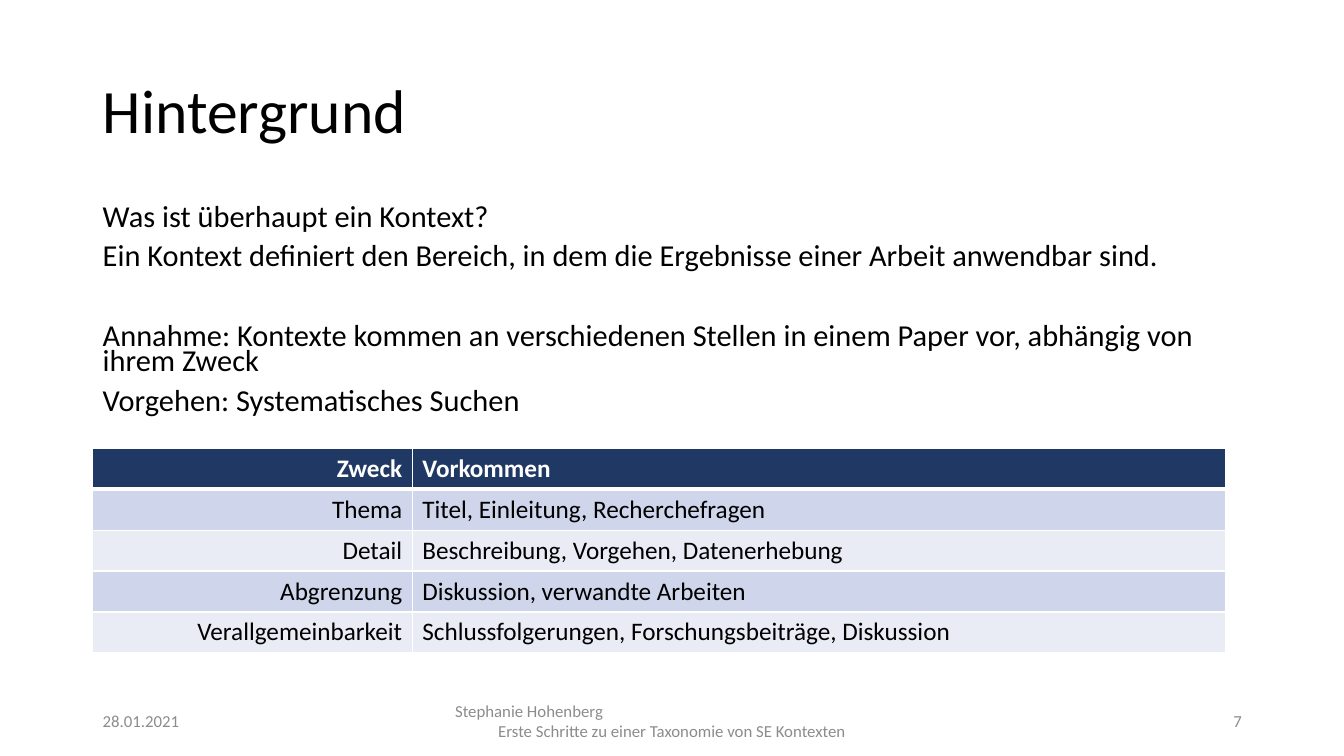
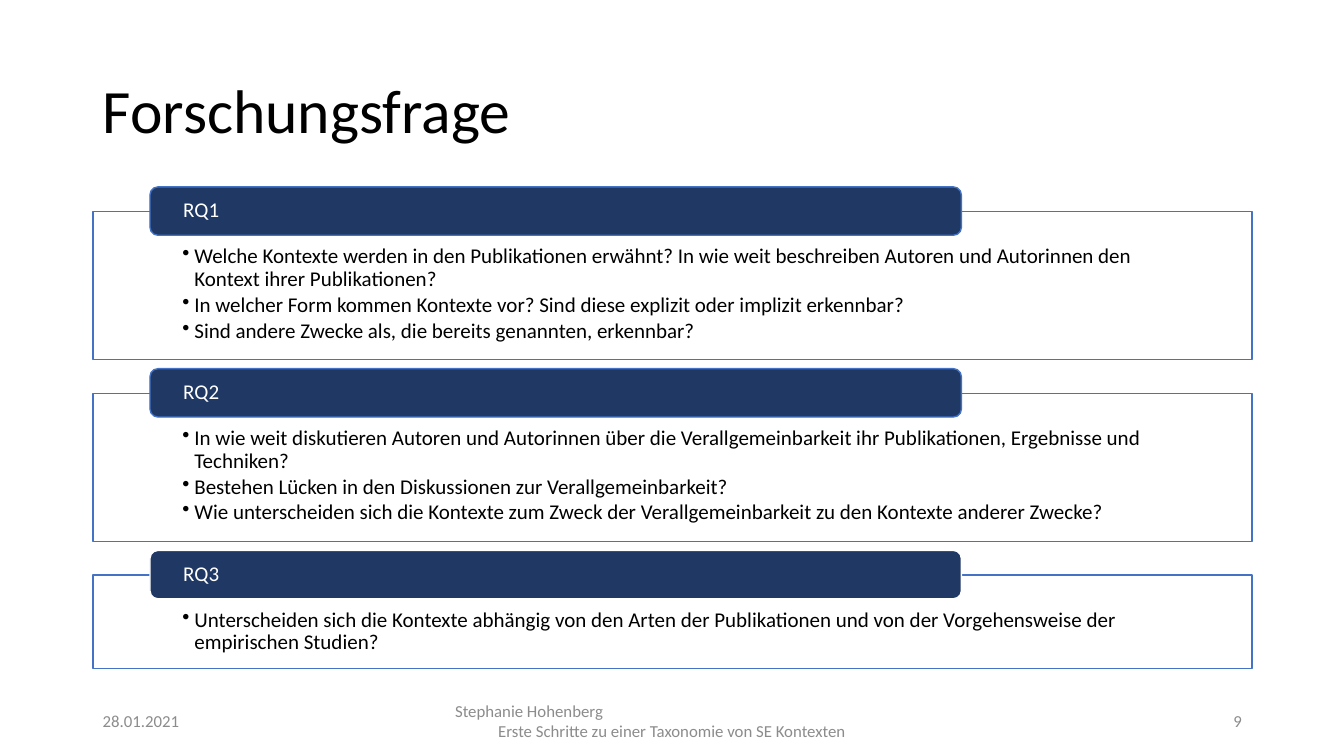
"""Build two slides on contexts in software engineering papers."""
import lxml.etree
import pptx
import pptx.dml.color
import pptx.enum.shapes
import pptx.enum.text
import pptx.oxml.ns
import pptx.util

Cm = pptx.util.Cm
Pt = pptx.util.Pt
qn = pptx.oxml.ns.qn
ALIGN = pptx.enum.text.PP_ALIGN
ANCHOR = pptx.enum.text.MSO_ANCHOR
SHAPE = pptx.enum.shapes.MSO_SHAPE

FONT = "Calibri"
BLACK, WHITE, GREY = "000000", "FFFFFF", "8C8C8C"
NAVY, BLUE = "203864", "4472C4"
BANDS = ["CFD5EA", "E9EBF5"]
PAGE_WIDTH, PAGE_HEIGHT = 33.87, 19.05
LEFT, WIDTH = 2.34, 29.21
INSETS = (0.25, 0.13, 0.25, 0.13)

DATE = "28.01.2021"
AUTHOR = "Stephanie Hohenberg"
TALK = "Erste Schritte zu einer Taxonomie von SE Kontexten"

BACKGROUND = [
    "Was ist überhaupt ein Kontext?",
    "Ein Kontext definiert den Bereich, in dem die Ergebnisse einer Arbeit anwendbar sind.",
    "Annahme: Kontexte kommen an verschiedenen Stellen in einem Paper vor, abhängig von ihrem Zweck",
    "Vorgehen: Systematisches Suchen",
]
ASSUMPTION = 2
PURPOSES = [
    ("Zweck", "Vorkommen"),
    ("Thema", "Titel, Einleitung, Recherchefragen"),
    ("Detail", "Beschreibung, Vorgehen, Datenerhebung"),
    ("Abgrenzung", "Diskussion, verwandte Arbeiten"),
    ("Verallgemeinbarkeit", "Schlussfolgerungen, Forschungsbeiträge, Diskussion"),
]
COLUMNS = [(8.05, ALIGN.RIGHT), (20.5, ALIGN.LEFT)]
ROW_HEIGHT = 1.03

QUESTIONS = [
    ("RQ1", 3.73, BLUE, [
        "Welche Kontexte werden in den Publikationen erwähnt? In wie weit beschreiben Autoren und Autorinnen den Kontext ihrer Publikationen?",
        "In welcher Form kommen Kontexte vor? Sind diese explizit oder implizit erkennbar?",
        "Sind andere Zwecke als, die bereits genannten, erkennbar?",
    ]),
    ("RQ2", 3.73, BLUE, [
        "In wie weit diskutieren Autoren und Autorinnen über die Verallgemeinbarkeit ihr Publikationen, Ergebnisse und Techniken?",
        "Bestehen Lücken in den Diskussionen zur Verallgemeinbarkeit?",
        "Wie unterscheiden sich die Kontexte zum Zweck der Verallgemeinbarkeit zu den Kontexte anderer Zwecke?",
    ]),
    ("RQ3", 2.36, WHITE, [
        "Unterscheiden sich die Kontexte abhängig von den Arten der Publikationen und von der Vorgehensweise der empirischen Studien?",
    ]),
]
PANEL_TOP, PANEL_GAP = 5.33, 0.85
TAB_LEFT, TAB_WIDTH, TAB_HEIGHT, TAB_RISE = 3.78, 20.45, 1.22, 0.62


def rgb(value):
    return pptx.dml.color.RGBColor.from_string(value)


def format_para(para, size, color, align=ALIGN.LEFT, bold=False):
    para.alignment = align
    for span in para.runs:
        span.font.name = FONT
        span.font.size = Pt(size)
        span.font.bold = bold
        span.font.color.rgb = rgb(color)


def write(box, lines, size, color, align=ALIGN.LEFT, anchor=ANCHOR.TOP,
          insets=INSETS, spacing=1.0, before=0, after=0):
    frame = box.text_frame
    frame.word_wrap = True
    frame.vertical_anchor = anchor
    (frame.margin_left, frame.margin_top,
     frame.margin_right, frame.margin_bottom) = [Cm(inset) for inset in insets]
    frame.text = "\n".join(lines)
    for para in frame.paragraphs:
        format_para(para, size, color, align)
        para.line_spacing = spacing
        para.space_before = Pt(before)
        para.space_after = Pt(after)
    return frame.paragraphs


def add_text(page, area, lines, size, color, **style):
    box = page.shapes.add_textbox(*[Cm(length) for length in area])
    return write(box, lines, size, color, **style)


def add_box(page, kind, area, fill, line):
    box = page.shapes.add_shape(kind, *[Cm(length) for length in area])
    box.shadow.inherit = False
    box.fill.solid()
    box.fill.fore_color.rgb = rgb(fill)
    box.line.color.rgb = rgb(line)
    box.line.width = Pt(1)
    return box


def set_opacity(box, percent):
    color = box.fill._xPr.find(qn("a:solidFill"))[0]
    lxml.etree.SubElement(color, qn("a:alpha"), val=str(percent * 1000))


def add_bullet(para, indent):
    props = para._p.get_or_add_pPr()
    props.set("marL", str(Cm(indent)))
    props.set("indent", str(-Cm(indent)))
    lxml.etree.SubElement(props, qn("a:buChar"), char="•")


def set_borders(cell, **widths):
    props = cell._tc.get_or_add_tcPr()
    for index, (side, width) in enumerate(widths.items()):
        line = lxml.etree.Element(qn("a:ln" + side), w=str(Pt(width)))
        fill = lxml.etree.SubElement(line, qn("a:solidFill"))
        lxml.etree.SubElement(fill, qn("a:srgbClr"), val=WHITE)
        props.insert(index, line)


def add_page(deck, title, number):
    page = deck.slides.add_slide(deck.slide_layouts[6])
    add_text(page, (LEFT, 1.02, WIDTH, 3.68), [title], 44, BLACK,
             anchor=ANCHOR.MIDDLE, spacing=0.9)
    side, middle = 7.62, 11.43
    footers = [
        (LEFT, side, [DATE], ALIGN.LEFT),
        ((PAGE_WIDTH - middle) / 2, middle, [AUTHOR, TALK], ALIGN.CENTER),
        (LEFT + WIDTH - side, side, [str(number)], ALIGN.RIGHT),
    ]
    for left, width, lines, align in footers:
        paras = add_text(page, (left, 17.65, width, 1.01), lines, 12, GREY,
                         align=align, anchor=ANCHOR.MIDDLE)
        if len(paras) > 1:
            paras[0].alignment = ALIGN.LEFT
    return page


def add_purposes(page):
    width = sum(column for column, _ in COLUMNS)
    frame = page.shapes.add_table(
        len(PURPOSES), len(COLUMNS), Cm(LEFT), Cm(11.3), Cm(width),
        Cm(ROW_HEIGHT * len(PURPOSES)))
    table = frame.table
    for column, (width, _) in zip(table.columns, COLUMNS):
        column.width = Cm(width)
    for row, texts in enumerate(PURPOSES):
        table.rows[row].height = Cm(ROW_HEIGHT)
        header = row == 0
        for column, text in enumerate(texts):
            cell = table.cell(row, column)
            cell.text = text
            format_para(cell.text_frame.paragraphs[0], 18,
                        WHITE if header else BLACK, COLUMNS[column][1], header)
            cell.fill.solid()
            cell.fill.fore_color.rgb = rgb(NAVY if header else BANDS[(row - 1) % 2])
            set_borders(cell, L=1, R=1, T=3 if row == 1 else 1, B=3 if header else 1)


def add_questions(page):
    top = PANEL_TOP
    for name, height, outline, lines in QUESTIONS:
        panel = add_box(page, SHAPE.RECTANGLE, (LEFT, top, WIDTH, height), WHITE, BLUE)
        set_opacity(panel, 90)
        for para in write(panel, lines, 15, BLACK, insets=(2.26, 0.86, 2.26, 0.3),
                          spacing=0.9, after=2.25):
            add_bullet(para, 0.3)
        tab = add_box(page, SHAPE.ROUNDED_RECTANGLE,
                      (TAB_LEFT, top - TAB_RISE, TAB_WIDTH, TAB_HEIGHT), NAVY, outline)
        write(tab, [name], 15, WHITE, anchor=ANCHOR.MIDDLE,
              insets=(0.78, 0, 0.78, 0), spacing=0.9)
        top += height + PANEL_GAP


def main():
    deck = pptx.Presentation()
    deck.slide_width, deck.slide_height = Cm(PAGE_WIDTH), Cm(PAGE_HEIGHT)

    page = add_page(deck, "Hintergrund", 7)
    paras = add_text(page, (LEFT, 5.08, WIDTH, 5.84), BACKGROUND, 21.7, BLACK,
                     spacing=0.7, before=10)
    paras[ASSUMPTION].space_before = Pt(38.5)
    add_purposes(page)

    add_questions(add_page(deck, "Forschungsfrage", 9))
    deck.save("out.pptx")


if __name__ == "__main__":
    main()
